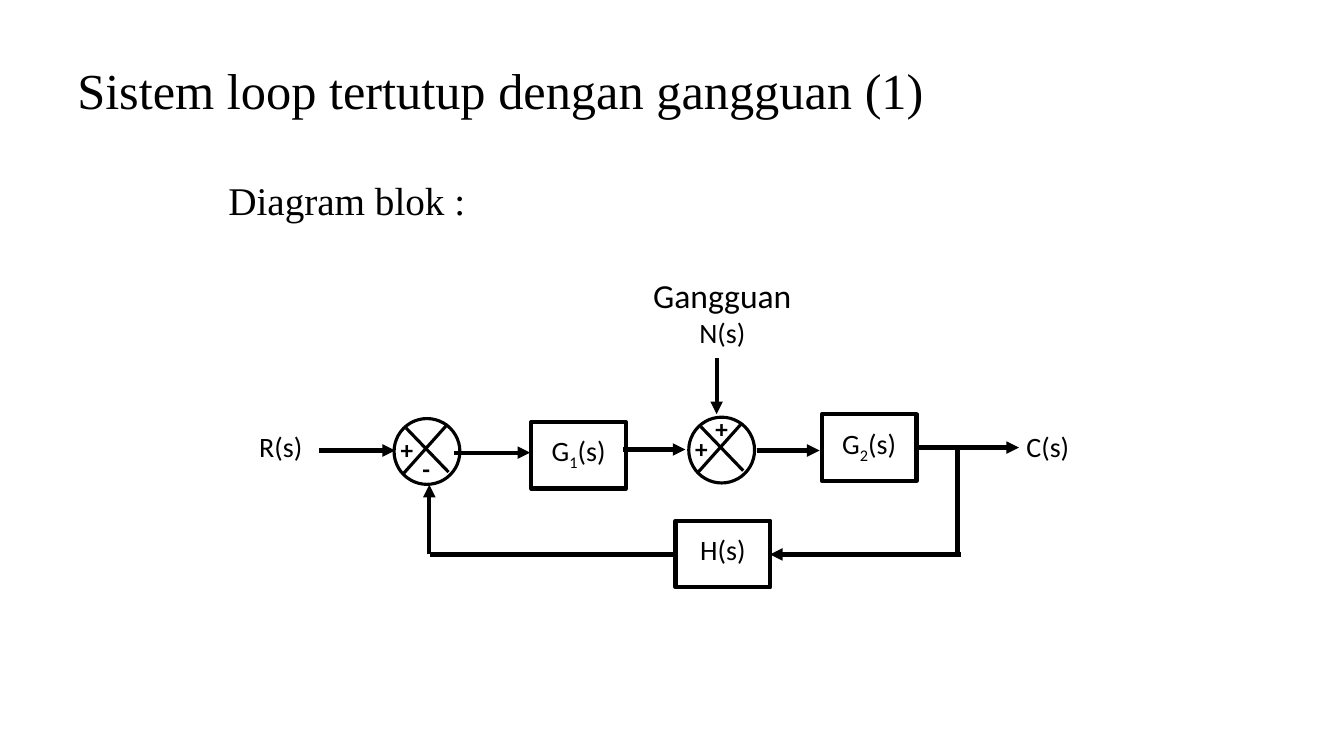
from lxml import etree
from pptx import Presentation
from pptx.dml.color import RGBColor
from pptx.enum import shapes, text
from pptx.oxml import ns
from pptx.util import Pt


def colour(value):
    return RGBColor.from_string(value)


class Diagram:
    INK, PAPER = "000000", "FFFFFF"
    HEADING, LABEL = "Times New Roman", "Calibri"
    HEAVY, MEDIUM = 3, 2.25
    BLOCK = (67.7, 47.5)
    CIRCLE = 47

    def __init__(self, slide):
        self.slide = slide

    def run(self, paragraph, content, size, font, bold=False, baseline=0):
        run = paragraph.add_run()
        run.text = content
        run.font.size = Pt(size)
        run.font.name = font
        run.font.bold = bold
        run.font.color.rgb = colour(self.INK)
        if baseline:
            run.font._element.set("baseline", str(baseline * 1000))

    def title(self, content, left, top, width, height):
        shape = self.slide.shapes.title
        shape.left, shape.top, shape.width, shape.height = map(Pt, (left, top, width, height))
        shape.text_frame.vertical_anchor = text.MSO_ANCHOR.MIDDLE
        paragraph = shape.text_frame.paragraphs[0]
        paragraph.alignment = text.PP_ALIGN.LEFT
        paragraph.line_spacing = 0.9
        self.run(paragraph, content, 36, self.HEADING)

    def label(self, lines, left, top, width, height, font=LABEL, bold=False,
              centred=False, spacing=None):
        """Add a text box; lines holds (content, size) pairs, one per paragraph."""
        frame = self.slide.shapes.add_textbox(*map(Pt, (left, top, width, height))).text_frame
        frame.word_wrap = True
        for index, (content, size) in enumerate(lines):
            paragraph = frame.add_paragraph() if index else frame.paragraphs[0]
            paragraph.alignment = text.PP_ALIGN.CENTER if centred else text.PP_ALIGN.LEFT
            if spacing:
                paragraph.line_spacing = spacing
            self.run(paragraph, content, size, font, bold)

    def outline(self, preset, left, top, width, height, weight):
        shape = self.slide.shapes.add_shape(preset, *map(Pt, (left, top, width, height)))
        shape.shadow.inherit = False
        shape.fill.solid()
        shape.fill.fore_color.rgb = colour(self.PAPER)
        shape.line.color.rgb = colour(self.INK)
        shape.line.width = Pt(weight)
        return shape

    def block(self, name, subscript, left, top):
        shape = self.outline(shapes.MSO_SHAPE.RECTANGLE, left, top, *self.BLOCK, self.HEAVY)
        frame = shape.text_frame
        frame.vertical_anchor = text.MSO_ANCHOR.TOP
        frame.margin_top = Pt(8.5)
        paragraph = frame.paragraphs[0]
        paragraph.alignment = text.PP_ALIGN.CENTER
        self.run(paragraph, name, 20, self.LABEL)
        if subscript:
            self.run(paragraph, subscript, 20, self.LABEL, baseline=-25)
        self.run(paragraph, "(s)", 20, self.LABEL)

    def line(self, start, end, arrow=False, weight=HEAVY):
        connector = self.slide.shapes.add_connector(
            shapes.MSO_CONNECTOR.STRAIGHT, *map(Pt, (*start, *end)))
        connector.line.color.rgb = colour(self.INK)
        connector.line.width = Pt(weight)
        if arrow:
            line = connector.line._get_or_add_ln()
            etree.SubElement(line, ns.qn("a:tailEnd"), type="triangle")
        etree.SubElement(connector._element.spPr, ns.qn("a:effectLst"))

    def summing_point(self, left, top, sign, sign_left, sign_top):
        """Add a crossed circle with a plus on its left and one more sign at an offset."""
        self.outline(shapes.MSO_SHAPE.OVAL, left, top, self.CIRCLE, self.CIRCLE, self.MEDIUM)
        for x1, y1, x2, y2 in ((8.6, 6.8, 38.9, 38.2), (6.8, 39.2, 38.2, 4)):
            self.line((left + x1, top + y1), (left + x2, top + y2), weight=self.MEDIUM)
        self.label([("+", 18)], left - 2.5, top + 8, 24, 28, bold=True)
        self.label([(sign, 18)], left + sign_left, top + sign_top, 24, 24,
                   bold=True, centred=True)


def main():
    presentation = Presentation()
    presentation.slide_width, presentation.slide_height = Pt(960), Pt(540)
    slide = presentation.slides.add_slide(presentation.slide_layouts[5])
    diagram = Diagram(slide)

    diagram.title("Sistem loop tertutup dengan gangguan (1)", 48, 21.6, 864, 90)
    diagram.label([("Diagram blok :", 28)], 156, 126, 210, 48,
                  font=diagram.HEADING, spacing=0.9)

    for name, subscript, left, top in (("G", "1", 379.5, 301.5), ("H", "", 482.5, 372),
                                       ("G", "2", 587, 296)):
        diagram.block(name, subscript, left, top)
    diagram.summing_point(281.5, 299, "-", 11, 21.5)
    diagram.summing_point(492, 298, "+", 11.5, -6.5)

    feedback = 396
    arrows = (
        ((228.2, 321.8), (282.2, 321.8)),
        ((324, 323.3), (378.7, 323.3)),
        ((445, 321.1), (489.6, 321.1)),
        ((540.7, 321.8), (585.4, 321.8)),
        ((655.9, 319.7), (727.9, 319.7)),
        ((511.9, 255.6), (511.9, 295.9)),
        ((686.2, feedback), (550, feedback)),
        ((306.7, feedback), (306.7, 346.3)),
    )
    for start, end in arrows:
        diagram.line(start, end, arrow=True)
    diagram.line((684, 321.1), (684, feedback))
    diagram.line((307.4, feedback), (484, feedback))

    for signal, left in (("R(s)", 178), ("C(s)", 726)):
        diagram.label([(signal, 20)], left, 303, 54, 37.5)
    diagram.label([("Gangguan", 24), ("N(s)", 20)], 438, 193, 156, 61, centred=True)

    presentation.save("out.pptx")


if __name__ == "__main__":
    main()
